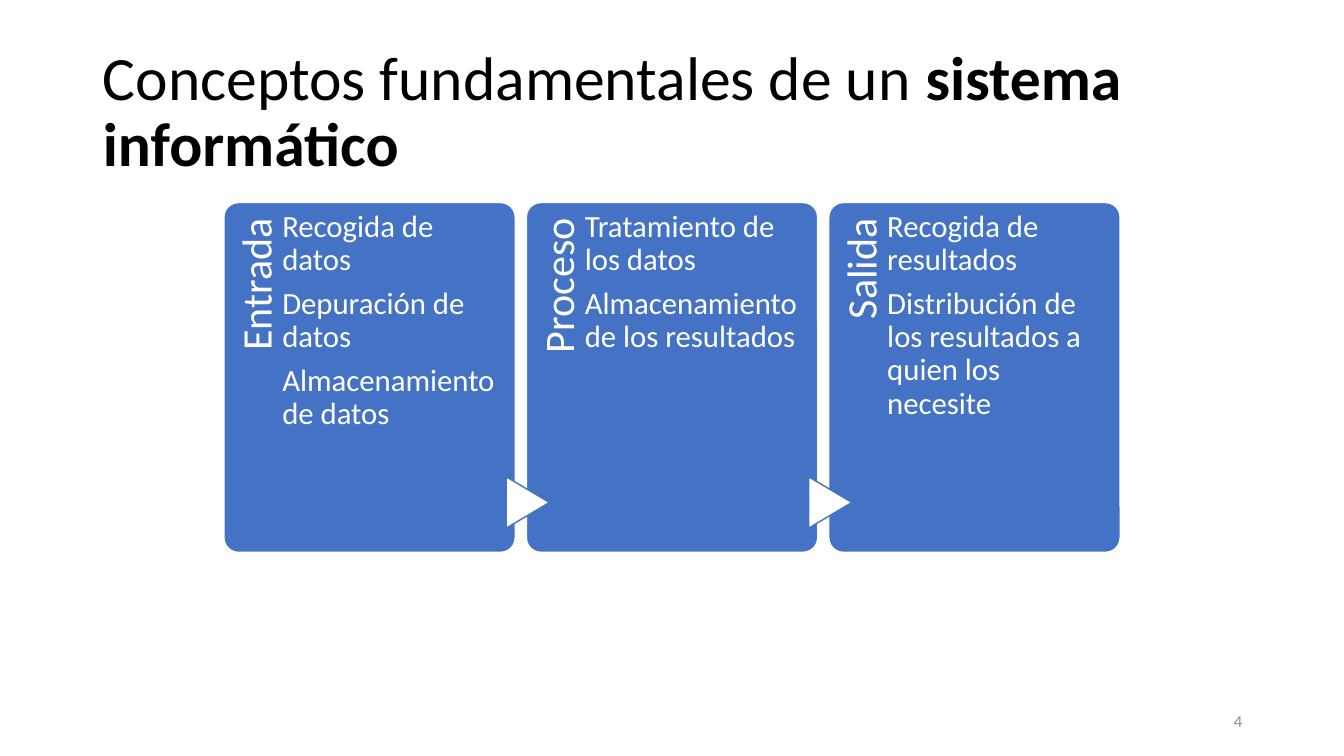
from dataclasses import dataclass

from pptx import Presentation
from pptx.dml.color import RGBColor
from pptx.enum.shapes import MSO_SHAPE
from pptx.enum.text import MSO_ANCHOR, PP_ALIGN
from pptx.shapes.autoshape import Shape
from pptx.shapes.shapetree import GroupShapes
from pptx.text.text import TextFrame
from pptx.util import Inches, Pt

BLUE = RGBColor(0x44, 0x72, 0xC4)
WHITE = RGBColor(0xFF, 0xFF, 0xFF)
BLACK = RGBColor(0, 0, 0)
GRAY = RGBColor(0x8C, 0x8C, 0x8C)
FONT = "Calibri"

LEFT, TOP, WIDTH, HEIGHT = 2.22, 2.01, 2.89, 3.47
PITCH = 3.0


@dataclass
class Stage:
    name: str
    tasks: list[str]


STAGES = [
    Stage("Entrada", ["Recogida de datos", "Depuración de datos",
                      "Almacenamiento de datos"]),
    Stage("Proceso", ["Tratamiento de los datos",
                      "Almacenamiento de los resultados"]),
    Stage("Salida", ["Recogida de resultados",
                     "Distribución de los resultados a quien los necesite"]),
]


def add_box(shapes: GroupShapes, kind: MSO_SHAPE, x: float, y: float,
            w: float, h: float, fill: RGBColor, line: RGBColor) -> Shape:
    box = shapes.add_shape(kind, Inches(x), Inches(y), Inches(w), Inches(h))
    box.shadow.inherit = False
    box.fill.solid()
    box.fill.fore_color.rgb = fill
    box.line.color.rgb = line
    box.line.width = Pt(1)
    return box


def write(frame: TextFrame, lines: list[str], size: int, color: RGBColor,
          align: PP_ALIGN, spacing: float = 0.9) -> None:
    """Fill a frame with one paragraph per line."""
    frame.word_wrap = True
    for i, line in enumerate(lines):
        para = frame.paragraphs[0] if i == 0 else frame.add_paragraph()
        para.text = line
        para.alignment = align
        para.line_spacing = spacing
        para.space_after = Pt(0.35 * size)
        para.font.size = Pt(size)
        para.font.name = FONT
        para.font.color.rgb = color


def add_text(shapes: GroupShapes, x: float, y: float, w: float, h: float,
             top: float, right: float) -> Shape:
    """Add a text box with only top and right insets."""
    box = shapes.add_textbox(Inches(x), Inches(y), Inches(w), Inches(h))
    frame = box.text_frame
    frame.margin_left = frame.margin_bottom = 0
    frame.margin_top, frame.margin_right = Inches(top), Inches(right)
    return box


def add_stage(shapes: GroupShapes, index: int, stage: Stage) -> None:
    x = LEFT + index * PITCH
    panel = add_box(shapes, MSO_SHAPE.ROUNDED_RECTANGLE, x, TOP, WIDTH, HEIGHT,
                    BLUE, WHITE)
    panel.adjustments[0] = 0.05

    label = add_text(shapes, x - 1.13, 3.15, 2.85, 0.58, 0.11, 0.15)
    label.rotation = 270
    write(label.text_frame, [stage.name], 30, WHITE, PP_ALIGN.RIGHT)

    if index:
        arrow = add_box(shapes, MSO_SHAPE.FLOWCHART_EXTRACT, x - 0.24, 4.77,
                        0.51, 0.43, WHITE, BLUE)
        arrow.rotation = 90

    body = add_text(shapes, x + 0.58, TOP, 2.16, HEIGHT, 0.08, 0)
    write(body.text_frame, stage.tasks, 22, WHITE, PP_ALIGN.LEFT)


def main() -> None:
    deck = Presentation()
    deck.slide_width, deck.slide_height = Inches(13.33), Inches(7.5)
    slide = deck.slides.add_slide(deck.slide_layouts[5])

    title = slide.shapes.title
    title.left, title.top = Inches(0.92), Inches(0.4)
    title.width, title.height = Inches(11.5), Inches(1.45)
    frame = title.text_frame
    frame.vertical_anchor = MSO_ANCHOR.MIDDLE
    write(frame, ["Conceptos fundamentales de un "], 44, BLACK, PP_ALIGN.LEFT)
    heading = frame.paragraphs[0]
    heading.space_after = Pt(0)
    term = heading.add_run()
    term.text = "sistema informático"
    term.font.bold = True

    number = slide.shapes.add_textbox(Inches(9.42), Inches(6.95), Inches(3),
                                      Inches(0.4)).text_frame
    number.vertical_anchor = MSO_ANCHOR.MIDDLE
    write(number, ["4"], 12, GRAY, PP_ALIGN.RIGHT, 1.0)
    number.paragraphs[0].space_after = Pt(0)

    diagram = slide.shapes.add_group_shape()
    for index, stage in enumerate(STAGES):
        add_stage(diagram.shapes, index, stage)

    deck.save("out.pptx")


if __name__ == "__main__":
    main()
